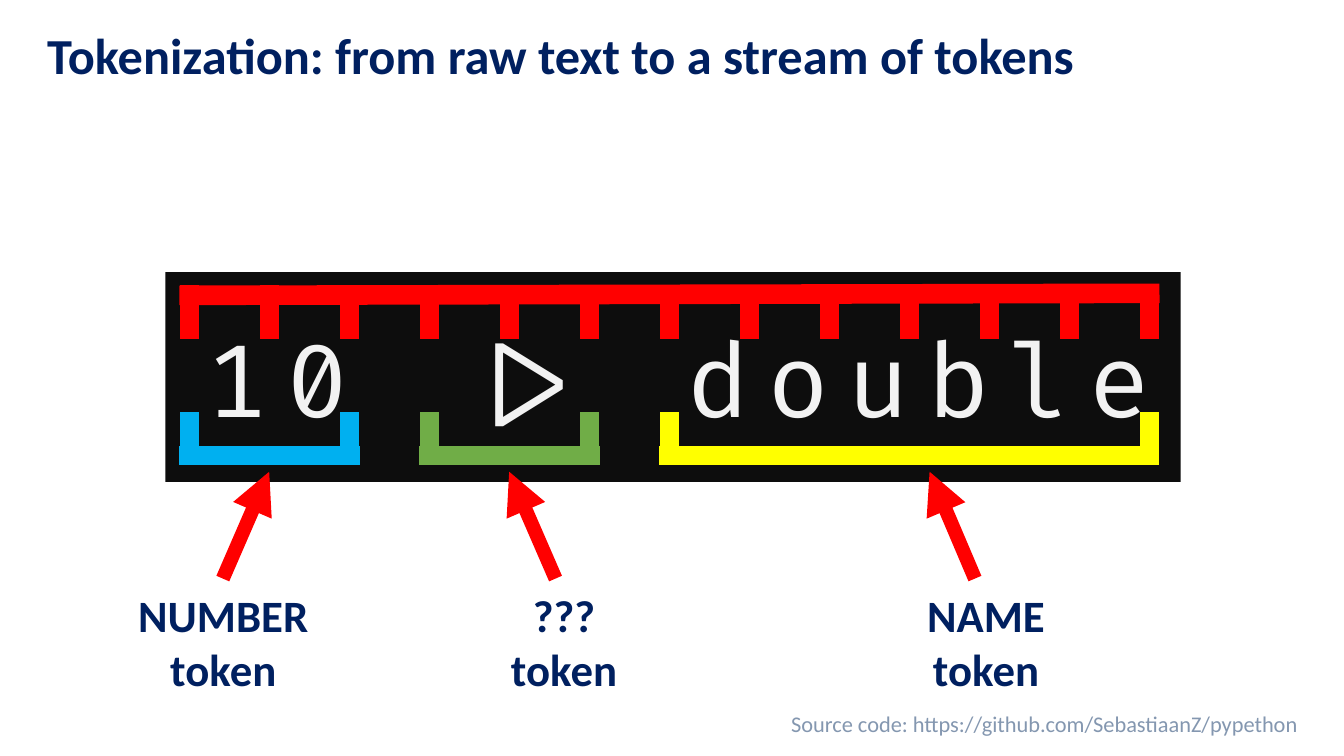
import pptx
import pptx.util
import pptx.dml.color
import pptx.enum.shapes
import pptx.enum.text
import pptx.oxml.ns
import lxml.etree

TITLE = "Tokenization: from raw text to a stream of tokens"
SOURCE = "Source code: https://github.com/SebastiaanZ/pypethon"
CODE = "10 |> double"
TOKENS = [
    {"name": "NUMBER", "first": 0, "end": 2, "colour": "00B0F0",
     "arrow": (2.21, 2.67), "label": (1.26, 1.91)},
    {"name": "???", "first": 3, "end": 5, "colour": "70AD47",
     "arrow": (5.51, 5.05), "label": (4.96, 1.27)},
    {"name": "NAME", "first": 6, "end": 12, "colour": "FFFF00",
     "arrow": (9.67, 9.22), "label": (9.09, 1.38)},
]
THEME = {
    "font": "Calibri", "code_font": "Fira Code",
    "navy": "002060", "grey": "8497B0", "black": "0D0D0D",
    "white": "F2F2F2", "red": "FF0000",
    "title": 36, "source": 16, "code": 72, "label": 32,
    "code_spacing": 13, "bracket": 14, "arrow": 10,
}
GRID_LEFT, GRID_RIGHT = 1.88, 11.4
PITCH = (GRID_RIGHT - GRID_LEFT) / len(CODE)
OVERHANG = 0.1
RULER_TOP, RULER_BOTTOM = 2.83, 3.36
BRACKET_TOP, BRACKET_BOTTOM, BRACKET_BAR = 4.09, 4.61, 4.52
ARROW_TOP, ARROW_BOTTOM = 4.68, 5.74
LABEL_TOP, LABEL_HEIGHT = 5.78, 1.18

Inches = pptx.util.Inches
Align = pptx.enum.text.PP_ALIGN
Anchor = pptx.enum.text.MSO_ANCHOR


def rgb(value):
    return pptx.dml.color.RGBColor.from_string(value)


def set_text(frame, text, size, colour, align, font=THEME["font"], bold=False):
    frame.text = text
    for para in frame.paragraphs:
        para.alignment = align
        for span in para.runs:
            span.font.name = font
            span.font.size = pptx.util.Pt(size)
            span.font.bold = bold
            span.font.color.rgb = rgb(colour)


def add_text(page, place, text, size, colour, align, bold=False, wrap=True):
    box = page.shapes.add_textbox(*map(Inches, place))
    box.text_frame.word_wrap = wrap
    set_text(box.text_frame, text, size, colour, align, bold=bold)
    return box.text_frame


def add_line(page, start, end, colour, width, arrow=False):
    line = page.shapes.add_connector(
        pptx.enum.shapes.MSO_CONNECTOR.STRAIGHT, *map(Inches, start + end))
    line.line.color.rgb = rgb(colour)
    line.line.width = pptx.util.Pt(width)
    qn = pptx.oxml.ns.qn
    if arrow:
        lxml.etree.SubElement(line.line._get_or_add_ln(), qn("a:tailEnd"), type="triangle")
    lxml.etree.SubElement(line._element.spPr, qn("a:effectLst"))


def grid_x(index):
    return GRID_LEFT + index * PITCH


def add_code(page):
    panel = page.shapes.add_shape(
        pptx.enum.shapes.MSO_SHAPE.RECTANGLE, *map(Inches, (1.64, 2.7, 10.07, 2.08)))
    panel.shadow.inherit = False
    panel.fill.solid()
    panel.fill.fore_color.rgb = rgb(THEME["black"])
    panel.line.fill.background()
    frame = panel.text_frame
    frame.word_wrap = False
    frame.vertical_anchor = Anchor.MIDDLE
    frame.margin_left = Inches(0.28)
    frame.margin_right = frame.margin_top = frame.margin_bottom = Inches(0.16)
    set_text(frame, CODE, THEME["code"], THEME["white"], Align.CENTER, THEME["code_font"])
    span = frame.paragraphs[0].runs[0]
    span._r.get_or_add_rPr().set("spc", str(THEME["code_spacing"] * 100))


def add_ruler(page):
    red, width = THEME["red"], THEME["bracket"]
    add_line(page, (GRID_LEFT - OVERHANG, 2.93), (GRID_RIGHT + OVERHANG, 2.91), red, width)
    for index in range(len(CODE) + 1):
        x = grid_x(index)
        add_line(page, (x, RULER_TOP), (x, RULER_BOTTOM), red, width)


def add_token(page, token):
    left, right = grid_x(token["first"]), grid_x(token["end"])
    colour, width = token["colour"], THEME["bracket"]
    add_line(page, (left - OVERHANG, BRACKET_BAR), (right + OVERHANG, BRACKET_BAR),
             colour, width)
    for x in (left, right):
        add_line(page, (x, BRACKET_BOTTOM), (x, BRACKET_TOP), colour, width)
    base, tip = token["arrow"]
    add_line(page, (base, ARROW_BOTTOM), (tip, ARROW_TOP),
             THEME["red"], THEME["arrow"], arrow=True)
    label_left, label_width = token["label"]
    add_text(page, (label_left, LABEL_TOP, label_width, LABEL_HEIGHT),
             token["name"] + "\ntoken", THEME["label"], THEME["navy"],
             Align.CENTER, bold=True, wrap=False)


def main():
    deck = pptx.Presentation()
    deck.slide_width, deck.slide_height = Inches(13.33), Inches(7.5)
    page = deck.slides.add_slide(deck.slide_layouts[6])
    title = add_text(page, (0.37, 0.26, 12.6, 0.63), TITLE, THEME["title"],
                     THEME["navy"], Align.LEFT, bold=True)
    title.vertical_anchor = Anchor.MIDDLE
    title.paragraphs[0].line_spacing = 0.9
    add_text(page, (0.37, 7, 12.6, 0.4), SOURCE, THEME["source"],
             THEME["grey"], Align.RIGHT)
    add_code(page)
    add_ruler(page)
    for token in TOKENS:
        add_token(page, token)
    deck.save("out.pptx")


if __name__ == "__main__":
    main()
